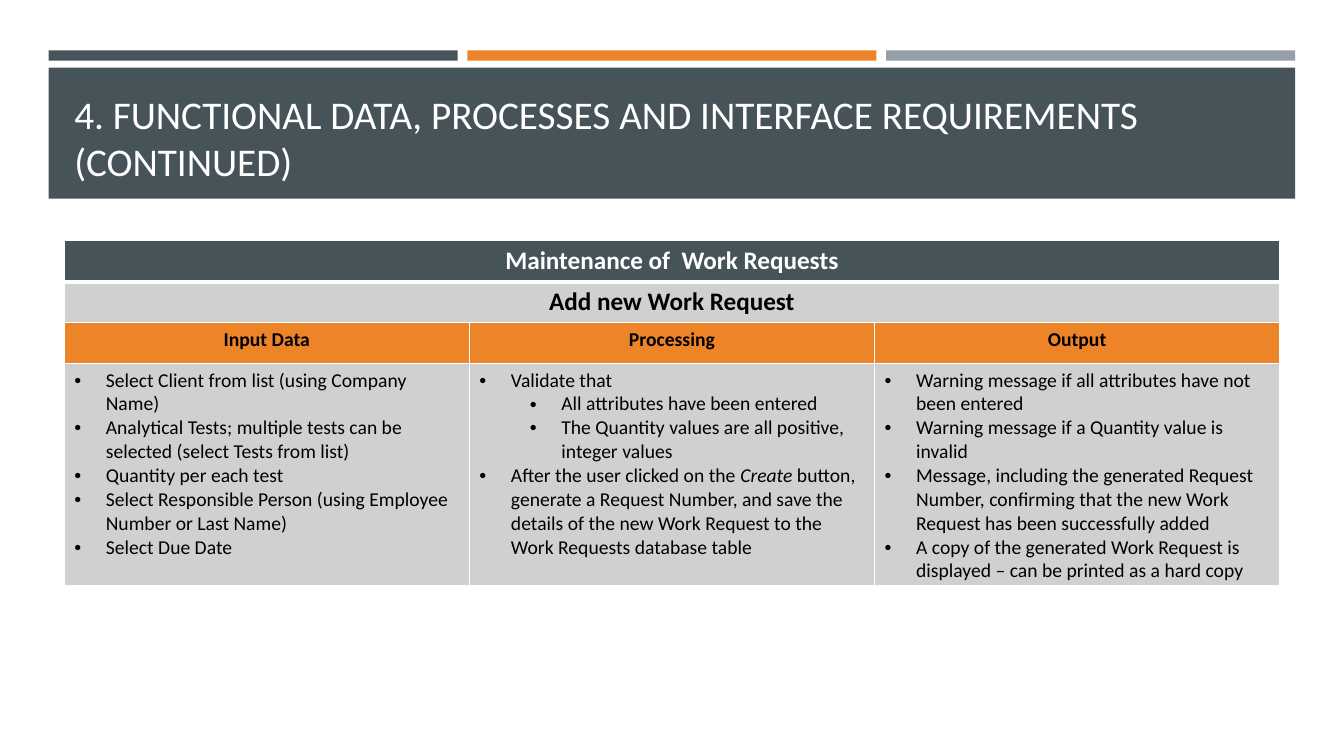
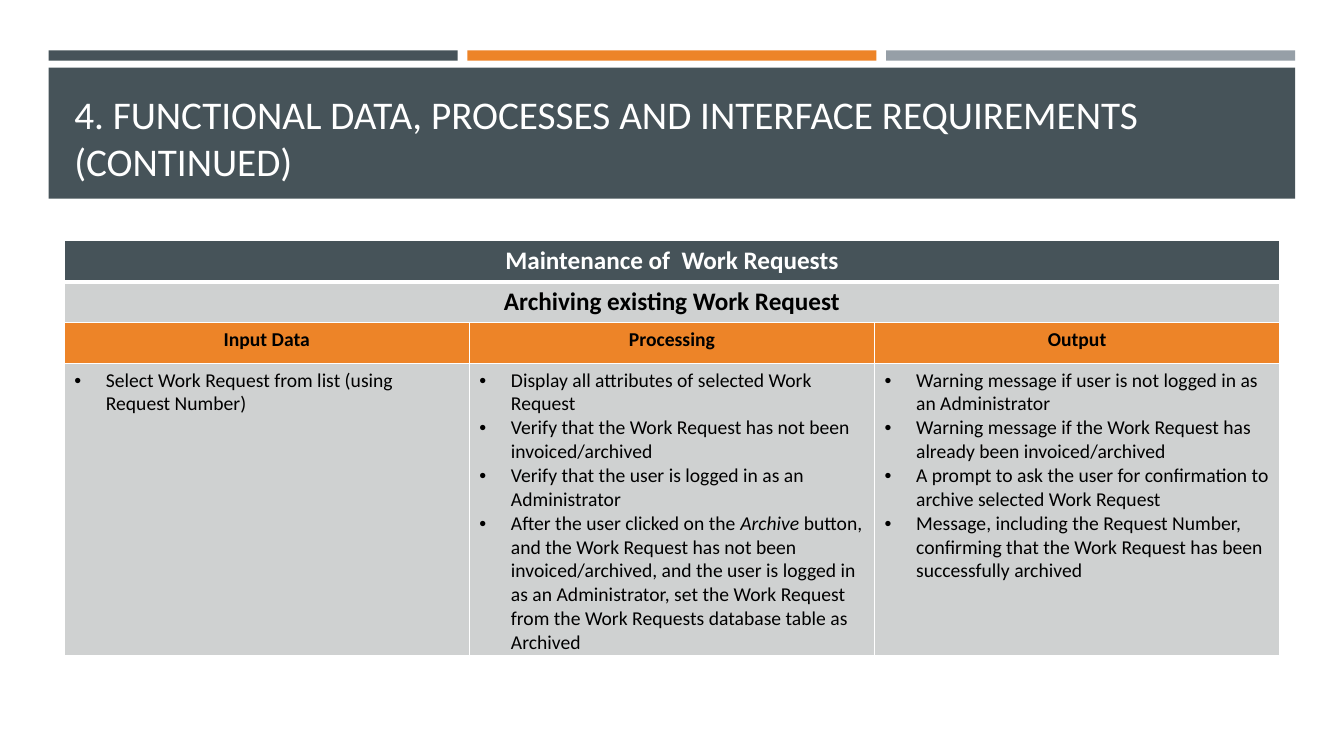
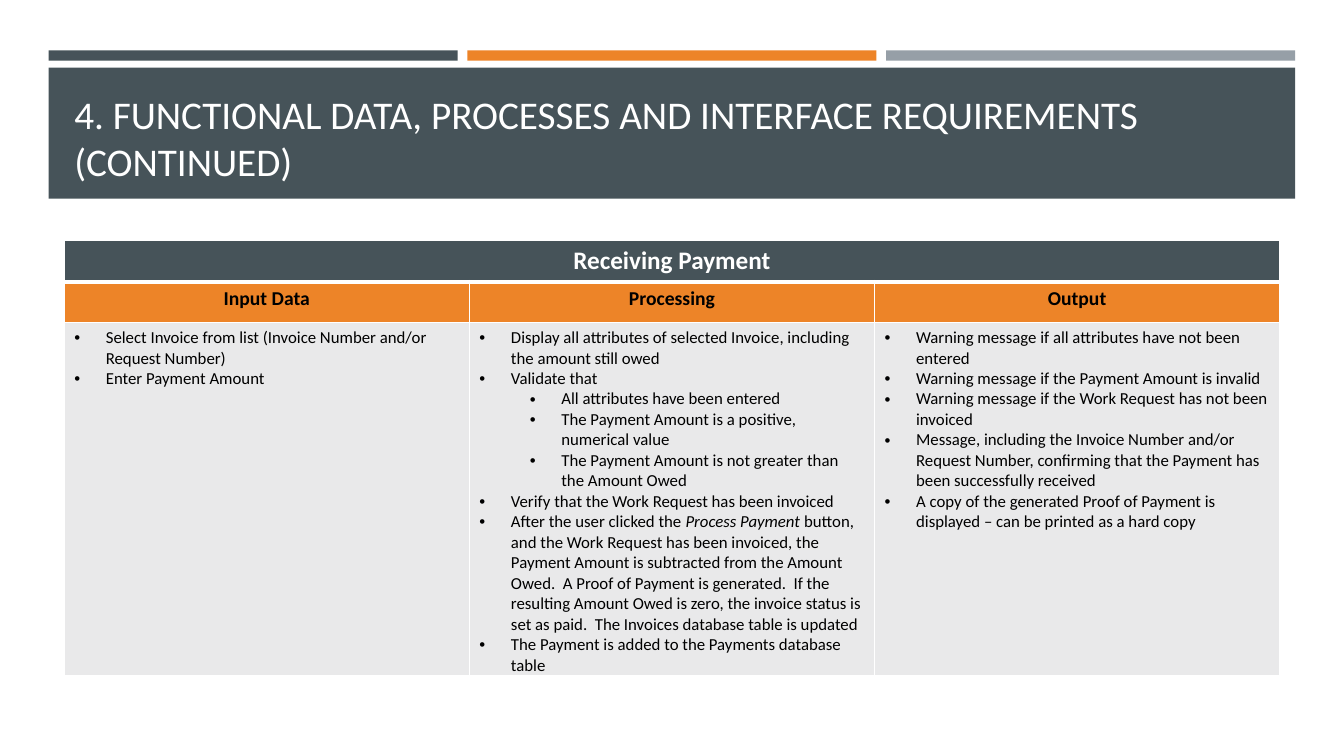
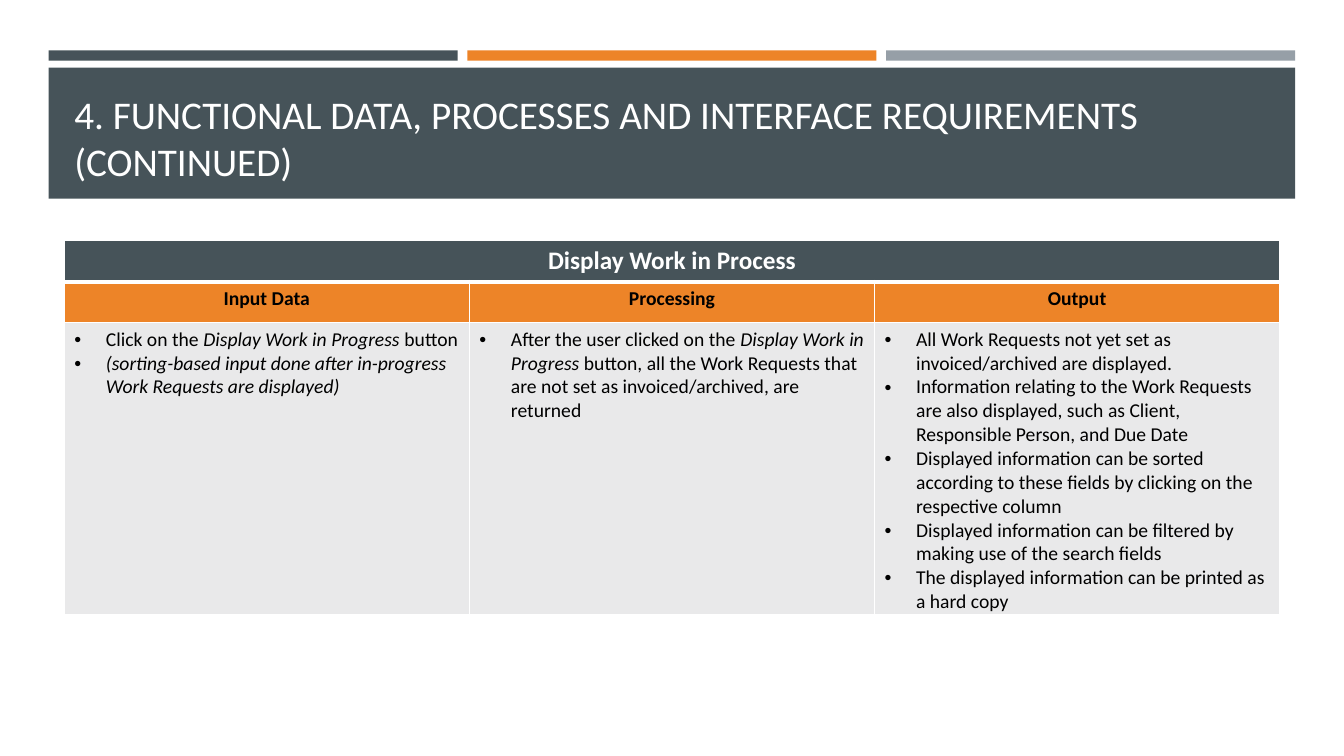
from collections import namedtuple

from lxml.etree import SubElement
from pptx import Presentation
from pptx.dml.color import RGBColor
from pptx.enum.shapes import MSO_SHAPE as Shape
from pptx.enum.text import MSO_ANCHOR as Anchor, PP_ALIGN as Align
from pptx.oxml.ns import qn
from pptx.util import Pt

Box = namedtuple("Box", "left top width height")

COLORS = {
    "slate": "465359",
    "orange": "ED8428",
    "steel": "969FA7",
    "gray": "CFD1D1",
    "pale": "E9E9EA",
    "white": "FFFFFF",
    "black": "000000",
}
FONT = "Calibri"
SLIDE_WIDTH, SLIDE_HEIGHT = 960, 540
BAND = Box(34.8, 48.4, 890.4, 93.6)
TABLE_LEFT, TABLE_TOP, TABLE_WIDTH = 45.9, 172, 868.2
ROW_HEIGHT = 29.2
BULLET_INDENT, LEVEL_INDENT = 22.5, 36

TITLE = "4. FUNCTIONAL DATA, PROCESSES AND INTERFACE REQUIREMENTS (CONTINUED)"
COLUMNS = ["Input Data", "Processing", "Output"]

# One entry per slide; a nested list is a sub-list, *stars* mark italics
REQUIREMENTS = [
    {
        "heading": "Maintenance of  Work Requests",
        "action": "Add new Work Request",
        "height": 246.2, "size": 14, "fill": "gray",
        "details": [
            ["Select Client from list (using Company Name)",
             "Analytical Tests; multiple tests can be selected (select Tests from list)",
             "Quantity per each test",
             "Select Responsible Person (using Employee Number or Last Name)",
             "Select Due Date"],
            ["Validate that",
             ["All attributes have been entered",
              "The Quantity values are all positive, integer values"],
             "After the user clicked on the *Create* button, generate a Request Number, "
             "and save the details of the new Work Request to the Work Requests "
             "database table"],
            ["Warning message if all attributes have not been entered",
             "Warning message if a Quantity value is invalid",
             "Message, including the generated Request Number, confirming that the new "
             "Work Request has been successfully added",
             "A copy of the generated Work Request is displayed – can be printed as a "
             "hard copy"],
        ],
    },
    {
        "heading": "Maintenance of  Work Requests",
        "action": "Archiving existing Work Request",
        "height": 296.6, "size": 14, "fill": "gray",
        "details": [
            ["Select Work Request from list (using Request Number)"],
            ["Display all attributes of selected Work Request",
             "Verify that the Work Request has not been invoiced/archived",
             "Verify that the user is logged in as an Administrator",
             "After the user clicked on the *Archive* button, and the Work Request has "
             "not been invoiced/archived, and the user is logged in as an "
             "Administrator, set the Work Request from the Work Requests database "
             "table as Archived"],
            ["Warning message if user is not logged in as an Administrator",
             "Warning message if the Work Request has already been invoiced/archived",
             "A prompt to ask the user for confirmation to archive selected Work Request",
             "Message, including the Request Number, confirming that the Work Request "
             "has been successfully archived"],
        ],
    },
    {
        "heading": "Receiving Payment",
        "action": None,
        "height": 310.3, "size": 12, "fill": "pale",
        "details": [
            ["Select Invoice from list (Invoice Number and/or Request Number)",
             "Enter Payment Amount"],
            ["Display all attributes of selected Invoice, including the amount still owed",
             "Validate that",
             ["All attributes have been entered",
              "The Payment Amount is a positive, numerical value",
              "The Payment Amount is not greater than the Amount Owed"],
             "Verify that the Work Request has been invoiced",
             "After the user clicked the *Process Payment* button, and the Work Request "
             "has been invoiced, the Payment Amount is subtracted from the Amount "
             "Owed.  A Proof of Payment is generated.  If the resulting Amount Owed is "
             "zero, the invoice status is set as paid.  The Invoices database table is "
             "updated",
             "The Payment is added to the Payments database table"],
            ["Warning message if all attributes have not been entered",
             "Warning message if the Payment Amount is invalid",
             "Warning message if the Work Request has not been invoiced",
             "Message, including the Invoice Number and/or Request Number, confirming "
             "that the Payment has been successfully received",
             "A copy of the generated Proof of Payment is displayed – can be printed "
             "as a hard copy"],
        ],
    },
    {
        "heading": "Display Work in Process",
        "action": None,
        "height": 267.1, "size": 14, "fill": "pale",
        "details": [
            ["Click on the *Display Work in Progress *button",
             "*(sorting-based input done after in-progress Work Requests are displayed)*"],
            ["After the user clicked on the *Display Work in Progress* button, all the "
             "Work Requests that are not set as invoiced/archived, are returned"],
            ["All Work Requests not yet set as invoiced/archived are displayed.",
             "Information relating to the Work Requests are also displayed, such as "
             "Client, Responsible Person, and Due Date",
             "Displayed information can be sorted according to these fields by clicking "
             "on the respective column",
             "Displayed information can be filtered by making use of the search fields",
             "The displayed information can be printed as a hard copy"],
        ],
    },
]


def rgb(name):
    return RGBColor.from_string(COLORS[name])


def style_run(run, size, color, bold=False, italic=False):
    font = run.font
    font.name, font.size = FONT, Pt(size)
    font.bold, font.italic = bold, italic
    font.color.rgb = rgb(color)


def add_bar(slide, box, color):
    bar = slide.shapes.add_shape(Shape.RECTANGLE, *map(Pt, box))
    bar.shadow.inherit = False
    bar.fill.solid()
    bar.fill.fore_color.rgb = rgb(color)
    bar.line.fill.background()


def add_header(slide, band):
    # Three accent bars above the band
    gap, rise, thickness = 7, 12.4, 7.3
    width = (band.width - 2 * gap) / 3
    for i, color in enumerate(["slate", "orange", "steel"]):
        left = band.left + i * (width + gap)
        add_bar(slide, Box(left, band.top - rise, width, thickness), color)

    # Title band
    add_bar(slide, band, "slate")
    inset_x, inset_y = 11.2, 7
    title = slide.shapes.add_textbox(
        Pt(band.left + inset_x), Pt(band.top + inset_y),
        Pt(band.width - 2 * inset_x), Pt(band.height - 2 * inset_y))
    frame = title.text_frame
    frame.word_wrap = True
    frame.vertical_anchor = Anchor.BOTTOM
    frame.text = TITLE
    style_run(frame.paragraphs[0].runs[0], 28, "white")


def set_borders(cell, top=1, bottom=1):
    props = cell._tc.get_or_add_tcPr()
    for side, weight in zip("LRTB", (1, 1, top, bottom)):
        line = SubElement(props, qn(f"a:ln{side}"), w=str(Pt(weight)))
        fill = SubElement(line, qn("a:solidFill"))
        SubElement(fill, qn("a:srgbClr"), val=COLORS["white"])


def write_label(cell, label, size, color="black"):
    paragraph = cell.text_frame.paragraphs[0]
    paragraph.text = label
    paragraph.alignment = Align.CENTER
    style_run(paragraph.runs[0], size, color, bold=True)


def flatten(items, level=0):
    for item in items:
        if isinstance(item, list):
            yield from flatten(item, level + 1)
        else:
            yield level, item


def write_bullets(cell, items, size):
    frame = cell.text_frame
    for i, (level, item) in enumerate(flatten(items)):
        paragraph = frame.add_paragraph() if i else frame.paragraphs[0]
        paragraph.level = level
        props = paragraph._p.get_or_add_pPr()
        props.set("marL", str(Pt(BULLET_INDENT + level * LEVEL_INDENT)))
        props.set("indent", str(-Pt(BULLET_INDENT)))
        SubElement(props, qn("a:buFont"), typeface="Arial")
        SubElement(props, qn("a:buChar"), char="•")
        for part, wording in enumerate(item.split("*")):
            if wording:
                run = paragraph.add_run()
                run.text = wording
                style_run(run, size, "black", italic=part % 2 == 1)


def add_requirement_table(slide, box, requirement):
    # Full-width rows: label, size, text colour, fill
    banners = [(requirement["heading"], 18, "white", "slate")]
    if requirement["action"]:
        banners.append((requirement["action"], 18, "black", "gray"))
    fills = [banner[3] for banner in banners] + ["orange", requirement["fill"]]

    table = slide.shapes.add_table(
        len(fills), len(COLUMNS), *map(Pt, box)).table
    for column in table.columns:
        column.width = Pt(box.width / len(COLUMNS))
    for r, fill in enumerate(fills):
        table.rows[r].height = Pt(ROW_HEIGHT)
        for cell in table.rows[r].cells:
            set_borders(cell, top=3 if r == 1 else 1, bottom=3 if r == 0 else 1)
            cell.fill.solid()
            cell.fill.fore_color.rgb = rgb(fill)
    last = len(fills) - 1
    table.rows[last].height = Pt(box.height - last * ROW_HEIGHT)

    for r, (label, size, color, _) in enumerate(banners):
        table.cell(r, 0).merge(table.cell(r, len(COLUMNS) - 1))
        write_label(table.cell(r, 0), label, size, color)

    # Column heads and their bullet lists
    for c, (head, items) in enumerate(zip(COLUMNS, requirement["details"])):
        write_label(table.cell(last - 1, c), head, 14)
        write_bullets(table.cell(last, c), items, requirement["size"])


def main():
    prs = Presentation()
    prs.slide_width, prs.slide_height = Pt(SLIDE_WIDTH), Pt(SLIDE_HEIGHT)
    blank = prs.slide_layouts[6]
    for requirement in REQUIREMENTS:
        slide = prs.slides.add_slide(blank)
        add_header(slide, BAND)
        box = Box(TABLE_LEFT, TABLE_TOP, TABLE_WIDTH, requirement["height"])
        add_requirement_table(slide, box, requirement)
    prs.save("out.pptx")


if __name__ == "__main__":
    main()
